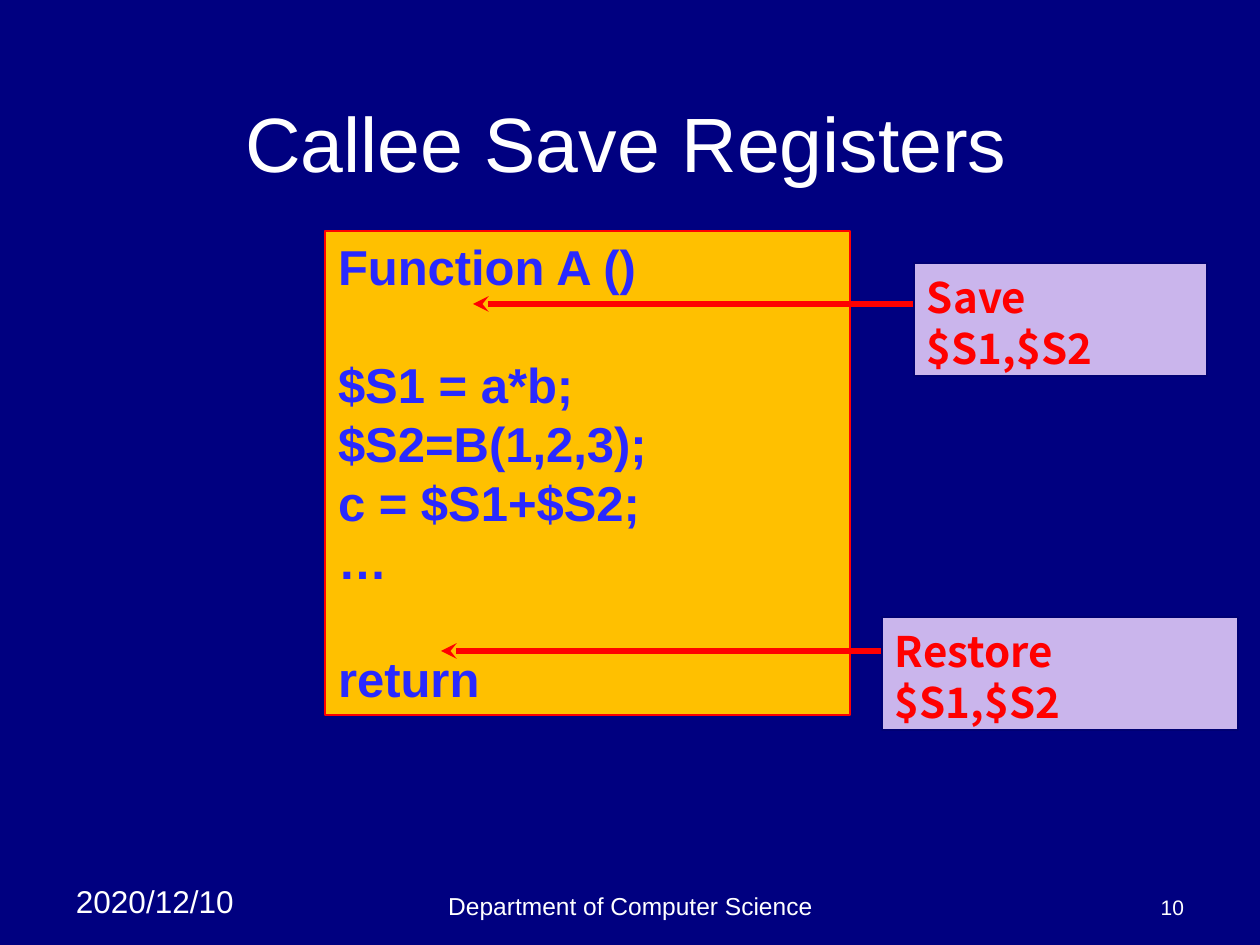
import pptx
import pptx.dml.color
import pptx.enum.shapes
import pptx.enum.text
import pptx.oxml
import pptx.util

RGBColor = pptx.dml.color.RGBColor
ALIGN = pptx.enum.text.PP_ALIGN
ANCHOR = pptx.enum.text.MSO_ANCHOR

NAVY = RGBColor(0x00, 0x00, 0x80)
DARK_NAVY = RGBColor(0x00, 0x00, 0x73)
WHITE = RGBColor(0xFF, 0xFF, 0xFF)
AMBER = RGBColor(0xFF, 0xC0, 0x00)
RED = RGBColor(0xFF, 0x00, 0x00)
BLUE = RGBColor(0x29, 0x29, 0xFF)
LILAC = RGBColor(0xCA, 0xB5, 0xEC)

EMU_PER_PX = 914400 / 126
LINE_FACTOR = 1.2


def px(length):
    return pptx.util.Emu(round(length * EMU_PER_PX))


class SlideBuilder:
    latin_font = "Arial"
    callout_font = "Noto Sans CJK SC"

    def __init__(self, slide):
        self.slide = slide
        slide.background.fill.solid()
        slide.background.fill.fore_color.rgb = NAVY

    def set_text(self, shape, paragraphs, size, color=WHITE, font=latin_font,
                 bold=False, align=ALIGN.LEFT, anchor=ANCHOR.TOP, inset_top=6):
        frame = shape.text_frame
        frame.text = "\n".join(paragraphs)
        frame.word_wrap = True
        frame.auto_size = pptx.enum.text.MSO_AUTO_SIZE.NONE
        frame.vertical_anchor = anchor
        frame.margin_left = frame.margin_right = px(13)
        frame.margin_top, frame.margin_bottom = px(inset_top), px(6)
        for paragraph in frame.paragraphs:
            paragraph.alignment = align
            paragraph.line_spacing = pptx.util.Pt(size * LINE_FACTOR)
            for run in paragraph.runs:
                run.font.name = font
                run.font.size = pptx.util.Pt(size)
                run.font.bold = bold
                run.font.color.rgb = color

    def title(self, text, left, top, width, height):
        shape = self.slide.shapes.title
        shape.left, shape.top = px(left), px(top)
        shape.width, shape.height = px(width), px(height)
        self.set_text(shape, [text], 44, align=ALIGN.CENTER, anchor=ANCHOR.MIDDLE)

    def label(self, text, left, top, width, height, size, **style):
        shape = self.slide.shapes.add_textbox(px(left), px(top), px(width), px(height))
        self.set_text(shape, [text], size, **style)

    def panel(self, left, top, width, height, fill, line):
        shape = self.slide.shapes.add_shape(
            pptx.enum.shapes.MSO_SHAPE.RECTANGLE, px(left), px(top), px(width), px(height))
        shape.shadow.inherit = False
        shape.fill.solid()
        shape.fill.fore_color.rgb = fill
        shape.line.color.rgb = line
        shape.line.width = pptx.util.Pt(0.75)
        return shape

    def code(self, blocks, left, top, width, height, size):
        shape = self.panel(left, top, width, height, AMBER, RED)
        lines = [line for block in blocks for line in block]
        self.set_text(shape, lines, size, color=BLUE, bold=True)
        start = 0
        for block in blocks[:-1]:
            start += len(block)
            paragraph = shape.text_frame.paragraphs[start]
            paragraph.space_before = pptx.util.Pt(size * LINE_FACTOR)

    def callout(self, text, left, top, width, height):
        shape = self.panel(left, top, width, height, LILAC, DARK_NAVY)
        self.set_text(shape, [text], 24, color=RED, font=self.callout_font,
                      bold=True, inset_top=9)
        shape.text_frame.margin_right = px(25)

    def arrow(self, start, end, y):
        connector = self.slide.shapes.add_connector(
            pptx.enum.shapes.MSO_CONNECTOR.STRAIGHT, px(start), px(y), px(end), px(y))
        connector.line.color.rgb = RED
        connector.line.width = pptx.util.Pt(3)
        line = connector.line._get_or_add_ln()
        line.append(pptx.oxml.parse_xml(
            '<a:tailEnd xmlns:a="http://schemas.openxmlformats.org/drawingml/2006/main"'
            ' type="stealth"/>'))
        connector._element.spPr.append(pptx.oxml.parse_xml(
            '<a:effectLst xmlns:a="http://schemas.openxmlformats.org/drawingml/2006/main"/>'))


def main():
    presentation = pptx.Presentation()
    presentation.slide_width, presentation.slide_height = px(1260), px(945)
    builder = SlideBuilder(presentation.slides.add_slide(presentation.slide_layouts[5]))

    builder.label("2020/12/10", 63, 876, 199, 50, 18)
    builder.label("Department of Computer Science", 431, 861, 399, 65, 14,
                  align=ALIGN.CENTER, anchor=ANCHOR.BOTTOM)
    builder.label("10", 903, 861, 294, 65, 12, align=ALIGN.RIGHT, anchor=ANCHOR.BOTTOM)
    builder.title("Callee Save Registers", 91, 63, 1071, 158)

    builder.code([
        ["Function A ()"],
        ["$S1 = a*b;", "$S2=B(1,2,3);", "c = $S1+$S2;", "…"],
        ["return"],
    ], 325, 231, 525, 484, 28)

    arrow_length = 441
    for text, left, top, width, arrow_y in [
        ("Save $S1,$S2", 914, 263, 293, 304),
        ("Restore $S1,$S2", 882, 617, 356, 651),
    ]:
        builder.arrow(left, left - arrow_length, arrow_y)
        builder.callout(text, left, top, width, 113)

    presentation.save("out.pptx")


if __name__ == "__main__":
    main()
